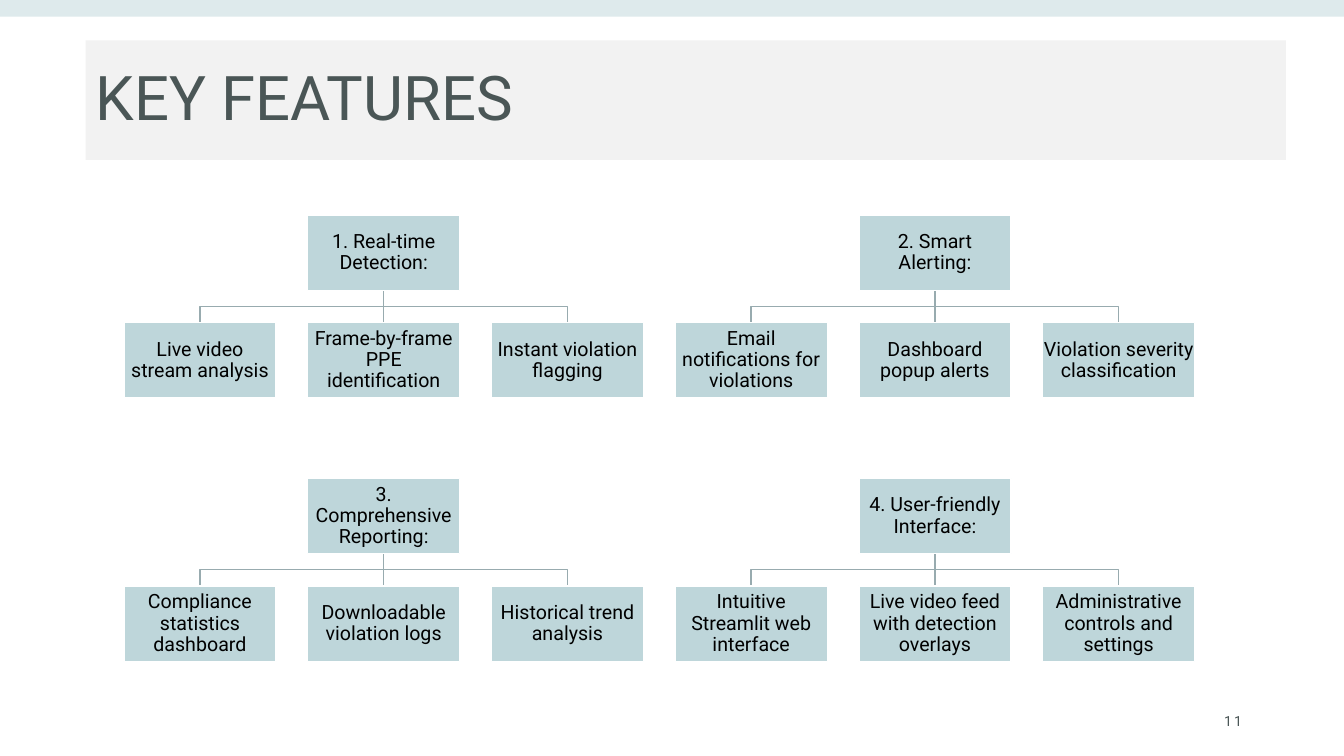
from dataclasses import dataclass

from lxml import etree
from pptx import Presentation
from pptx.dml.color import RGBColor
from pptx.enum.shapes import MSO_CONNECTOR, MSO_SHAPE
from pptx.enum.text import MSO_ANCHOR, PP_ALIGN
from pptx.oxml.ns import qn
from pptx.shapes.autoshape import Shape
from pptx.shapes.connector import Connector
from pptx.slide import Slide
from pptx.text.text import TextFrame
from pptx.util import Pt

RECTANGLE = MSO_SHAPE.RECTANGLE
STRAIGHT = MSO_CONNECTOR.STRAIGHT
MIDDLE = MSO_ANCHOR.MIDDLE
LEFT, CENTER, RIGHT = PP_ALIGN.LEFT, PP_ALIGN.CENTER, PP_ALIGN.RIGHT
TOP_SIDE, BOTTOM_SIDE = 0, 2


@dataclass(frozen=True)
class Theme:
    font: str = "Roboto"
    accent: str = "BED6DA"
    branch: str = "98ABAF"
    panel: str = "F2F2F2"
    heading: str = "4A5656"
    body: str = "000000"
    outline: str = "FFFFFF"
    title_size: float = 44
    box_size: float = 14
    number_size: float = 10


@dataclass(frozen=True)
class Area:
    left: float
    top: float
    width: float
    height: float

    @property
    def center(self) -> float:
        return self.left + self.width / 2

    @property
    def bottom(self) -> float:
        return self.top + self.height


@dataclass(frozen=True)
class Feature:
    name: str
    details: tuple[str, str, str]
    column: int
    row: int


THEME = Theme()
FEATURES = (
    Feature("1. Real-time Detection:",
            ("Live video stream analysis", "Frame-by-frame PPE identification",
             "Instant violation flagging"), 0, 0),
    Feature("2. Smart Alerting:",
            ("Email notifications for violations", "Dashboard popup alerts",
             "Violation severity classification"), 3, 0),
    Feature("3. Comprehensive Reporting:",
            ("Compliance statistics dashboard", "Downloadable violation logs",
             "Historical trend analysis"), 0, 1),
    Feature("4. User-friendly Interface:",
            ("Intuitive Streamlit web interface",
             "Live video feed with detection overlays",
             "Administrative controls and settings"), 3, 1),
)
GRID_LEFT, GRID_TOP = 88.5, 153.6
BOX_WIDTH, BOX_HEIGHT = 108.7, 53.9
COLUMN_STEP, ROW_STEP, DETAIL_DROP = 131.25, 188.1, 76.8
BOX_INSET = 0.7


def color(code: str) -> RGBColor:
    return RGBColor.from_string(code)


def grid_area(column: int, row: int, drop: float = 0) -> Area:
    return Area(GRID_LEFT + column * COLUMN_STEP,
                GRID_TOP + row * ROW_STEP + drop, BOX_WIDTH, BOX_HEIGHT)


def write(frame: TextFrame, text: str, size: float, ink: str,
          align: PP_ALIGN, spacing: float = 0.9) -> None:
    frame.word_wrap = True
    frame.vertical_anchor = MIDDLE
    frame.text = text
    paragraph = frame.paragraphs[0]
    paragraph.alignment = align
    paragraph.line_spacing = spacing
    font = paragraph.runs[0].font
    font.name = THEME.font
    font.size = Pt(size)
    font.color.rgb = color(ink)


def add_panel(slide: Slide, area: Area, fill: str) -> Shape:
    panel = slide.shapes.add_shape(RECTANGLE, Pt(area.left), Pt(area.top),
                                   Pt(area.width), Pt(area.height))
    panel.shadow.inherit = False
    panel.fill.solid()
    panel.fill.fore_color.rgb = color(fill)
    panel.line.fill.background()
    return panel


def add_box(slide: Slide, area: Area, text: str) -> Shape:
    box = add_panel(slide, area, THEME.accent)
    box.line.color.rgb = color(THEME.outline)
    box.line.width = Pt(1)
    frame = box.text_frame
    frame.margin_left = frame.margin_right = Pt(BOX_INSET)
    frame.margin_top = frame.margin_bottom = Pt(BOX_INSET)
    write(frame, text, THEME.box_size, THEME.body, CENTER)
    return box


def add_stem(slide: Slide, parent: Area, child: Area) -> Connector:
    stem = slide.shapes.add_connector(STRAIGHT, Pt(parent.center), Pt(parent.bottom),
                                      Pt(child.center), Pt(child.top))
    stem.line.color.rgb = color(THEME.branch)
    stem.line.width = Pt(1)
    etree.SubElement(stem.element.spPr, qn("a:effectLst"))
    return stem


def add_branch(slide: Slide, parent: Area, child: Area) -> None:
    bend = (parent.bottom + child.top) / 2
    builder = slide.shapes.build_freeform(Pt(parent.center), Pt(parent.bottom))
    builder.add_line_segments(
        [(Pt(parent.center), Pt(bend)), (Pt(child.center), Pt(bend)),
         (Pt(child.center), Pt(child.top))], close=False)
    branch = builder.convert_to_shape()
    branch.shadow.inherit = False
    branch.fill.background()
    branch.line.color.rgb = color(THEME.branch)
    branch.line.width = Pt(1)


def add_feature(slide: Slide, feature: Feature) -> None:
    parent = grid_area(feature.column + 1, feature.row)
    children = [grid_area(feature.column + offset, feature.row, DETAIL_DROP)
                for offset in range(len(feature.details))]
    first, middle, last = children
    add_branch(slide, parent, last)
    stem = add_stem(slide, parent, middle)
    add_branch(slide, parent, first)
    name_box = add_box(slide, parent, feature.name)
    detail_boxes = [add_box(slide, area, detail)
                    for area, detail in zip(children, feature.details)]
    stem.begin_connect(name_box, BOTTOM_SIDE)
    stem.end_connect(detail_boxes[1], TOP_SIDE)


def add_page_number(slide: Slide, number: str) -> None:
    page_number = slide.shapes.add_textbox(Pt(678.2), Pt(500.4), Pt(216), Pt(28.8))
    frame = page_number.text_frame
    write(frame, number, THEME.number_size, THEME.heading, RIGHT, 1.0)
    frame.paragraphs[0].runs[0].font._element.set("spc", "150")


def main() -> None:
    presentation = Presentation()
    presentation.slide_width = Pt(960)
    presentation.slide_height = Pt(540)
    slide = presentation.slides.add_slide(presentation.slide_layouts[6])

    top_band = add_panel(slide, Area(0, 0, 960, 12), THEME.accent)
    band_color = top_band.element.spPr.find(qn("a:solidFill"))[0]
    etree.SubElement(band_color, qn("a:alpha"), val="50000")

    title = add_panel(slide, Area(61.2, 28.8, 857.4, 85.5), THEME.panel)
    write(title.text_frame, "KEY FEATURES", THEME.title_size, THEME.heading, LEFT)

    for feature in FEATURES:
        add_feature(slide, feature)
    add_page_number(slide, "11")
    presentation.save("out.pptx")


if __name__ == "__main__":
    main()
